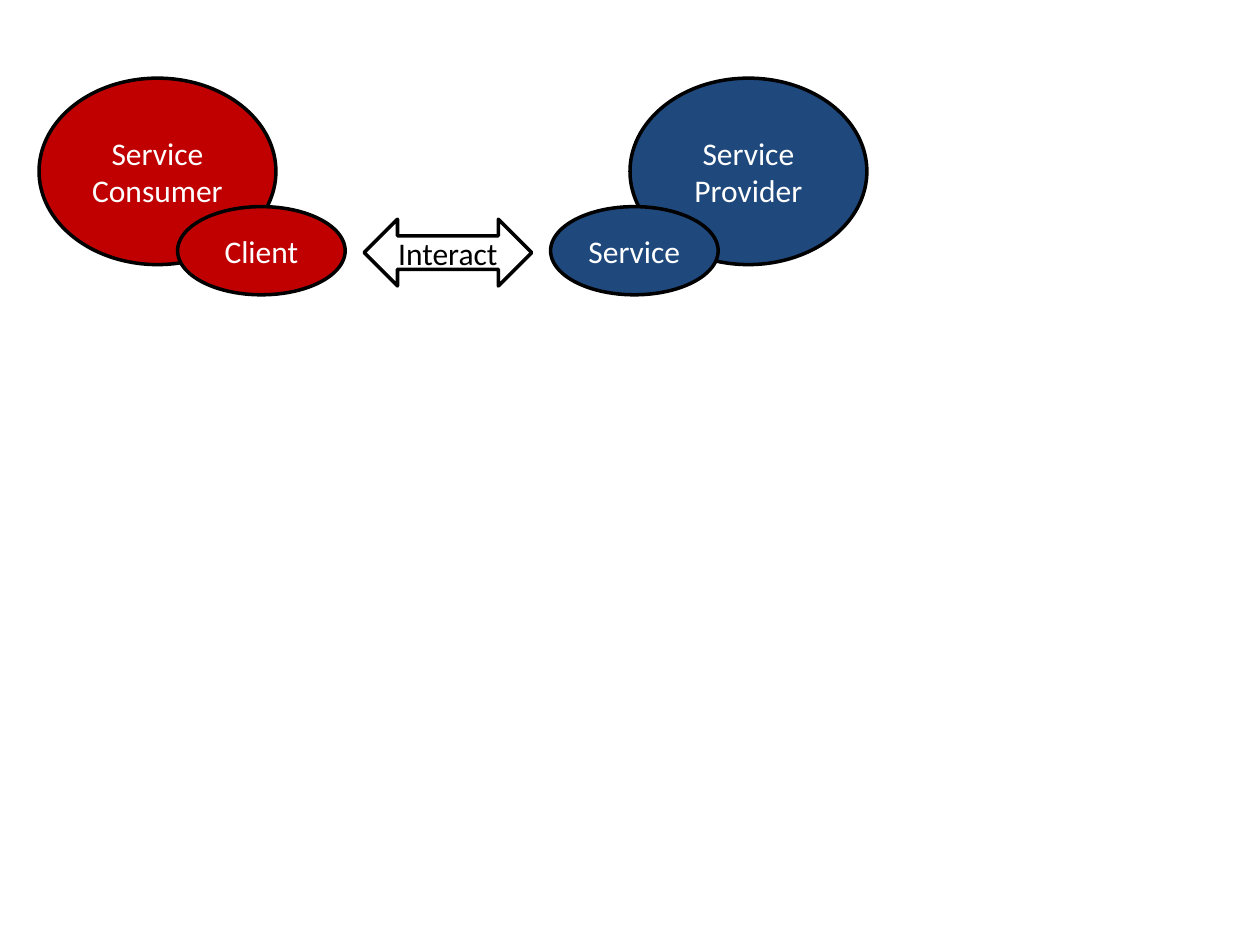
from pptx import Presentation
from pptx.dml.color import RGBColor
from pptx.enum.shapes import MSO_SHAPE
from pptx.enum.text import MSO_ANCHOR, PP_ALIGN
from pptx.util import Inches, Pt

COLORS = {"blue": "1F497D", "red": "C00000", "white": "FFFFFF", "black": "000000"}
FONT = {"name": "Calibri", "size": Pt(18)}
FRAME = {"word_wrap": True, "vertical_anchor": MSO_ANCHOR.MIDDLE}


def color(name):
    """Return the named colour."""
    return RGBColor.from_string(COLORS[name])


def style(item, values):
    """Set each format value on the item."""
    for key, value in values.items():
        setattr(item, key, value)


def add_node(slide, kind, box, text, fill, ink="white"):
    """Add an outlined shape with centred text."""
    node = slide.shapes.add_shape(kind, *map(Inches, box))
    node.shadow.inherit = False
    node.fill.solid()
    node.fill.fore_color.rgb = color(fill)
    node.line.color.rgb = color("black")
    node.line.width = Pt(2)
    style(node.text_frame, FRAME)
    line = node.text_frame.paragraphs[0]
    line.alignment = PP_ALIGN.CENTER
    run = line.add_run()
    run.text = text
    style(run.font, FONT)
    run.font.color.rgb = color(ink)


def add_party(slide, fill, role, left, agent, start):
    """Add a large role ellipse with its agent ellipse in front."""
    add_node(slide, MSO_SHAPE.OVAL, (left, 0.62, 1.88, 1.48), role, fill)
    add_node(slide, MSO_SHAPE.OVAL, (start, 1.64, 1.33, 0.7), agent, fill)


def main():
    """Build and save the service interaction slide."""
    deck = Presentation()
    style(deck, {"slide_width": Inches(10), "slide_height": Inches(7.5)})
    slide = deck.slides.add_slide(deck.slide_layouts[6])
    add_party(slide, "blue", "Service Provider", 5, "Service", 4.37)
    add_party(slide, "red", "Service Consumer", 0.31, "Client", 1.41)
    add_node(slide, MSO_SHAPE.LEFT_RIGHT_ARROW, (2.89, 1.74, 1.33, 0.53),
             "Interact", "white", "black")
    deck.save("out.pptx")


if __name__ == "__main__":
    main()
